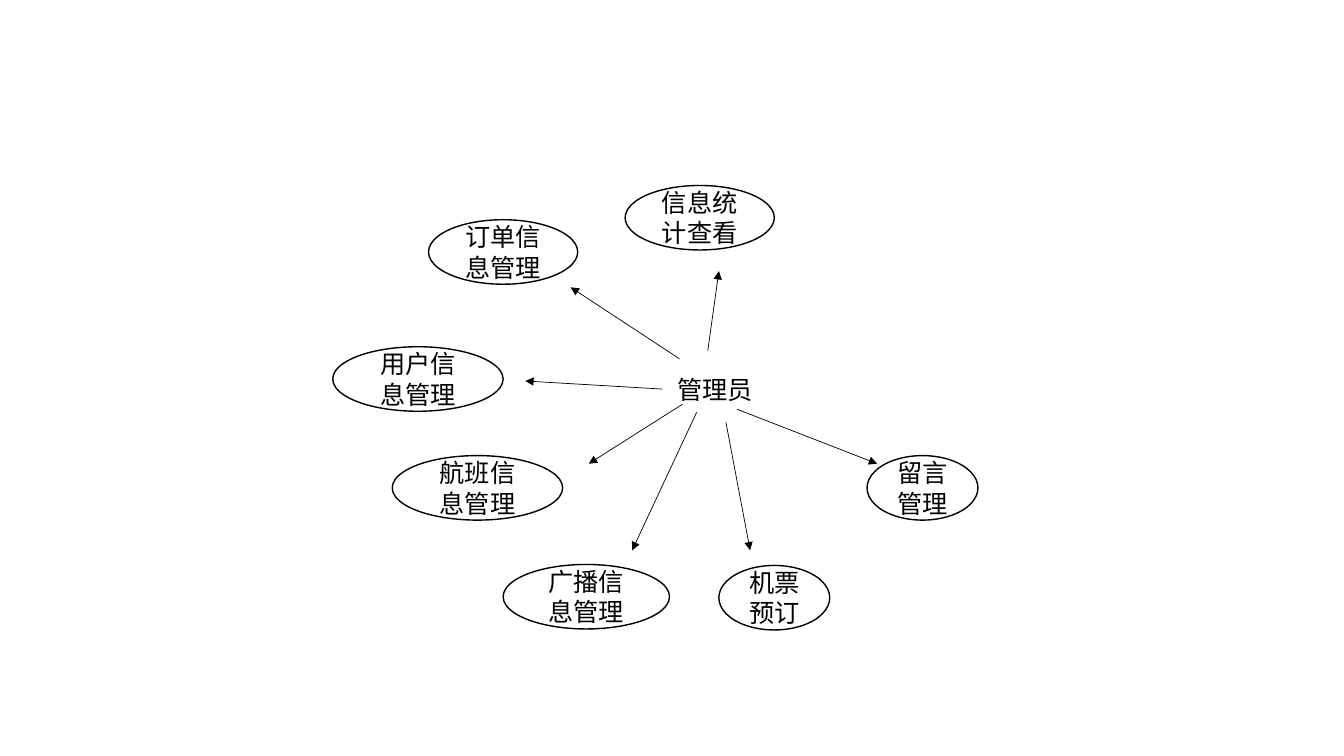
"""Draw the use cases of the administrator as ovals around a label."""
from lxml.etree import SubElement
from pptx import Presentation
from pptx.dml.color import RGBColor
from pptx.enum.shapes import MSO_CONNECTOR, MSO_SHAPE
from pptx.enum.text import MSO_ANCHOR, PP_ALIGN
from pptx.oxml.ns import qn
from pptx.util import Inches, Pt

OVAL = MSO_SHAPE.OVAL
LINE = MSO_CONNECTOR.STRAIGHT
MIDDLE = MSO_ANCHOR.MIDDLE
LEFT, CENTER = PP_ALIGN.LEFT, PP_ALIGN.CENTER
BLACK = RGBColor(0, 0, 0)
WHITE = RGBColor(255, 255, 255)
FONT = "Noto Sans CJK SC"
HEIGHT = 0.64

CASES = [
    ("用户信息管理", 3.3, 3.44, 1.69, (6.57, 3.86), (5.21, 3.78)),
    ("订单信息管理", 4.25, 2.18, 1.48, (6.74, 3.56), (5.66, 2.85)),
    ("航班信息管理", 3.89, 4.52, 1.69, (6.77, 4.01), (5.84, 4.6)),
    ("广播信息管理", 4.99, 5.6, 1.65, (6.91, 4.09), (6.27, 5.46)),
    ("机票预订", 7.13, 5.61, 1.1, (7.2, 4.19), (7.44, 5.46)),
    ("留言管理", 8.6, 4.52, 1.1, (7.31, 4.06), (8.7, 4.6)),
    ("信息统计查看", 6.2, 1.84, 1.48, (7.02, 3.48), (7.13, 2.69)),
]


def write(shape, text, align):
    frame = shape.text_frame
    frame.word_wrap = True
    frame.text = text
    para = frame.paragraphs[0]
    para.alignment = align
    font = para.font
    font.size = Pt(18)
    font.color.rgb = BLACK
    font.name = FONT
    SubElement(font._element, qn("a:ea")).set("typeface", FONT)


def add_label(slide, text, left, top, width, height):
    box = slide.shapes.add_textbox(
        Inches(left), Inches(top), Inches(width), Inches(height))
    write(box, text, LEFT)


def add_case(slide, text, left, top, width):
    oval = slide.shapes.add_shape(
        OVAL, Inches(left), Inches(top), Inches(width), Inches(HEIGHT))
    oval.shadow.inherit = False
    oval.fill.solid()
    oval.fill.fore_color.rgb = WHITE
    oval.line.color.rgb = BLACK
    oval.line.width = Pt(1)
    oval.text_frame.vertical_anchor = MIDDLE
    write(oval, text, CENTER)


def add_arrow(slide, start, end):
    points = [Inches(n) for n in start + end]
    arrow = slide.shapes.add_connector(LINE, *points)
    arrow.line.color.rgb = BLACK
    arrow.line.width = Pt(0.5)
    SubElement(arrow.line._get_or_add_ln(), qn("a:tailEnd")).set("type", "triangle")
    SubElement(arrow._element.spPr, qn("a:effectLst"))


def main():
    deck = Presentation()
    deck.slide_width, deck.slide_height = Inches(13.33), Inches(7.5)
    slide = deck.slides.add_slide(deck.slide_layouts[6])
    add_label(slide, "管理员", 6.62, 3.66, 1.08, 0.42)
    for text, left, top, width, start, end in CASES:
        add_case(slide, text, left, top, width)
        add_arrow(slide, start, end)
    deck.save("out.pptx")


main()
